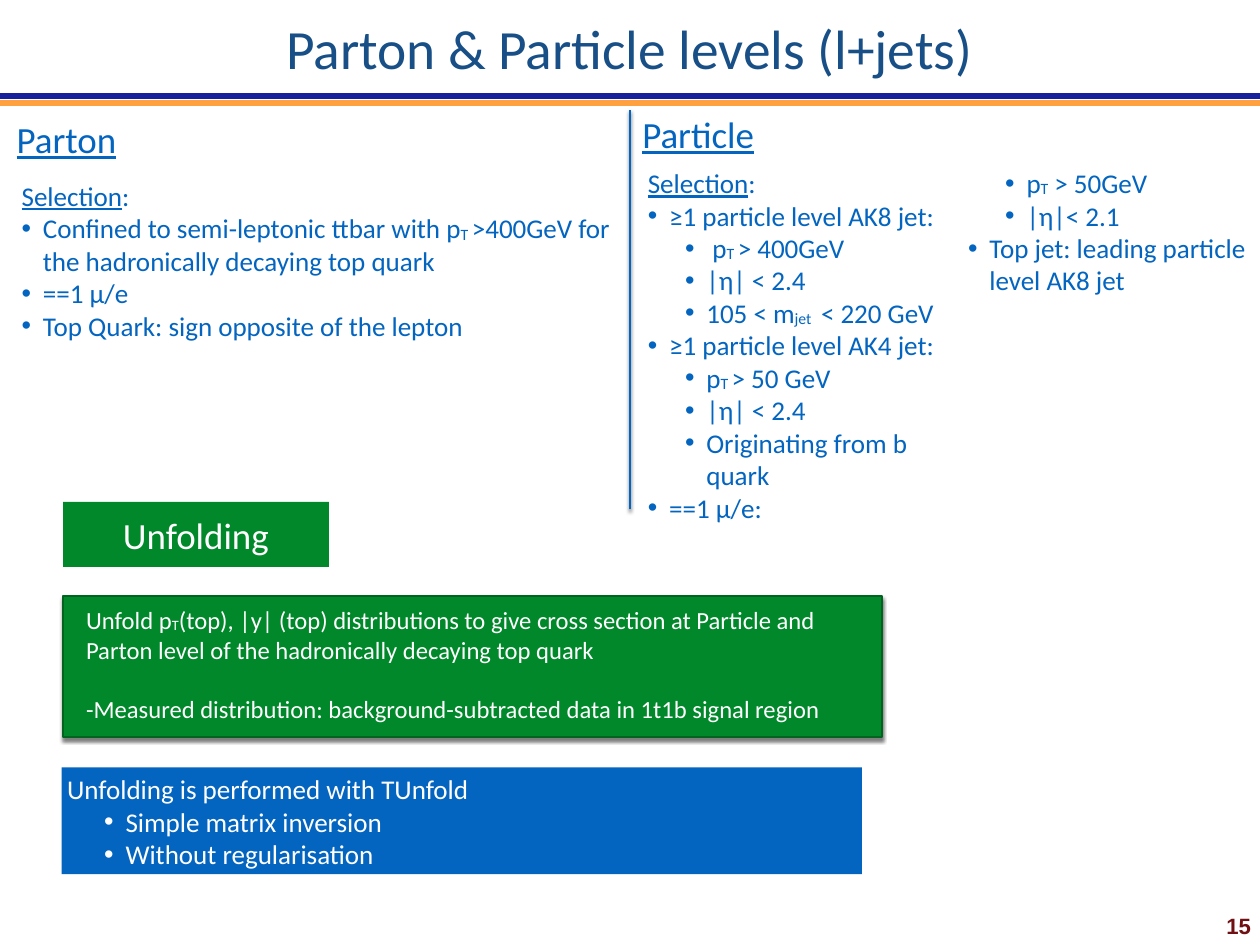
"""Build the slide on parton and particle levels with the unfolding summary."""
from lxml import etree
from pptx import Presentation
from pptx.dml.color import RGBColor
from pptx.enum.shapes import MSO_CONNECTOR as CONN, MSO_SHAPE as SHAPE
from pptx.enum.text import MSO_ANCHOR as ANCHOR, PP_ALIGN as ALIGN
from pptx.oxml.ns import qn
from pptx.util import Inches, Pt

W, H = 14.22, 10.67
INSET = 0.06
INDENTS = {1: 0.24, 2: 0.66}
HANG = 0.24
COLORS = {"title": "174F86", "navy": "18219C", "orange": "FFA13F", "blue": "0365C0",
          "green": "00882B", "edge": "00631F", "page": "701013", "white": "FFFFFF",
          "shadow": "000000"}

# Lines are (bullet level, text); ^ marks underlined text and ~ marks subscripts.
PARTON = [
    (0, "^Selection^:"),
    (1, "Confined to semi-leptonic ttbar with p~T ~>400GeV for the hadronically decaying top quark"),
    (1, "==1 μ/e"),
    (1, "Top Quark: sign opposite of the lepton"),
]
PARTICLE = [
    (0, "^Selection^:"),
    (1, "≥1 particle level AK8 jet:"),
    (2, " p~T ~> 400GeV"),
    (2, "|η| < 2.4"),
    (2, "105 < m~jet ~ < 220 GeV"),
    (1, "≥1 particle level AK4 jet:"),
    (2, "p~T ~> 50 GeV"),
    (2, "|η| < 2.4"),
    (2, "Originating from b quark"),
    (1, "==1 μ/e:"),
    (2, "p~T~ > 50GeV"),
    (2, "|η|< 2.1"),
    (1, "Top jet: leading particle level AK8 jet"),
]
UNFOLD = [
    (0, "Unfold p~T~(top), |y| (top) distributions to give cross section at Particle and "
        "Parton level of the hadronically decaying top quark"),
    (0, "-Measured distribution: background-subtracted data in 1t1b signal region"),
]
METHOD = [
    (0, "Unfolding is performed with TUnfold"),
    (2, "Simple matrix inversion"),
    (2, "Without regularisation"),
]

# Places are left, top, width, height in percent of the slide.
TEXTS = [
    ((22.3, 1.6, 55.3, 6.9), [(0, "Parton & Particle levels (l+jets)")],
     dict(size=45, color="title", middle=True, wrap=False)),
    ((96.9, 96, 2.8, 3.9), [(0, "15")],
     dict(size=18, color="page", font="Arial", bold=True, center=True, wrap=False)),
    ((0.9, 12.1, 8.8, 5.2), [(0, "^Parton^")], dict(size=30, middle=True, wrap=False)),
    ((1.3, 18.4, 48.8, 22.3), PARTON, {}),
    ((51, 17.06, 49.2, 40.5), PARTICLE, dict(columns=2)),
    ((50.56, 11.6, 9.8, 5.2), [(0, "^Particle^")], dict(size=30, middle=True, wrap=False)),
]
PANELS = [
    ((5, 53.1, 21.1, 6.9), "green", None, [(0, "Unfolding")],
     dict(size=30, middle=True, center=True)),
    ((4.9, 81.2, 63.5, 11.3), "blue", None, METHOD, {}),
    ((5, 63.1, 65, 14.9), "green", "edge", UNFOLD,
     dict(size=20, side=0.26, top=0.1, gap=24.4)),
]
LINES = [
    ((0, 10.9, 100, 10.9), "orange", 5, False),
    ((0, 10.2, 100, 10.2), "navy", 5, False),
    ((50, 53.9, 50, 11.6), "blue", 2, True),
]


def rgb(name):
    return RGBColor.from_string(COLORS[name])


def place(box):
    return [Inches(share * side / 100) for share, side in zip(box, (W, H, W, H))]


def set_shadow(shape, visible):
    spPr = shape.element.spPr
    for old in spPr.findall(qn("a:effectLst")):
        spPr.remove(old)
    effects = etree.SubElement(spPr, qn("a:effectLst"))
    if visible:
        outer = etree.SubElement(effects, qn("a:outerShdw"), blurRad=str(Pt(3)),
                                 dist=str(Pt(2)), dir="5400000", rotWithShape="0")
        tint = etree.SubElement(outer, qn("a:srgbClr"), val=COLORS["shadow"])
        etree.SubElement(tint, qn("a:alpha"), val="50000")


def add_bullet(p, level):
    p.level = level - 1
    pPr = p._p.get_or_add_pPr()
    pPr.set("marL", str(Inches(INDENTS[level])))
    pPr.set("indent", str(Inches(-HANG)))
    etree.SubElement(pPr, qn("a:buFont"), typeface="Arial")
    etree.SubElement(pPr, qn("a:buChar"), char="•")


def add_runs(p, text, size, color, font, bold):
    for i, part in enumerate(text.split("~")):
        for j, piece in enumerate(part.split("^")):
            if not piece:
                continue
            r = p.add_run()
            r.text = piece
            r.font.size, r.font.name, r.font.bold = Pt(size), font, bold
            r.font.color.rgb = rgb(color)
            if j % 2:
                r.font.underline = True
            if i % 2:
                r._r.get_or_add_rPr().set("baseline", "-5999")


def write(shape, lines, size=22, color="blue", font="Calibri", bold=False, center=False,
          middle=False, wrap=True, columns=1, side=INSET, top=INSET, gap=0):
    tf = shape.text_frame
    tf.word_wrap = wrap
    tf.vertical_anchor = ANCHOR.MIDDLE if middle else ANCHOR.TOP
    tf.margin_left = tf.margin_right = Inches(side)
    tf.margin_top, tf.margin_bottom = Inches(top), Inches(INSET)
    if columns > 1:
        bodyPr = tf._txBody.bodyPr
        bodyPr.set("numCol", str(columns))
        bodyPr.set("spcCol", str(Inches(0.35)))
    for i, (level, text) in enumerate(lines):
        p = tf.add_paragraph() if i else tf.paragraphs[0]
        p.alignment = ALIGN.CENTER if center else ALIGN.LEFT
        if i and gap:
            p.space_before = Pt(gap)
        if level:
            add_bullet(p, level)
        add_runs(p, text, size, color, font, bold)


def main():
    prs = Presentation()
    prs.slide_width, prs.slide_height = Inches(W), Inches(H)
    s = prs.slides.add_slide(prs.slide_layouts[6])

    for ends, color, width, shadow in LINES:
        line = s.shapes.add_connector(CONN.STRAIGHT, *place(ends))
        line.line.color.rgb, line.line.width = rgb(color), Pt(width)
        set_shadow(line, shadow)

    for box, lines, style in TEXTS:
        write(s.shapes.add_textbox(*place(box)), lines, **style)

    for box, fill, edge, lines, style in PANELS:
        sp = s.shapes.add_shape(SHAPE.RECTANGLE, *place(box))
        sp.fill.solid()
        sp.fill.fore_color.rgb = rgb(fill)
        if edge:
            sp.line.color.rgb, sp.line.width = rgb(edge), Pt(2)
        else:
            sp.line.fill.background()
        set_shadow(sp, bool(edge))
        write(sp, lines, color="white", **style)

    prs.save("out.pptx")


if __name__ == "__main__":
    main()
